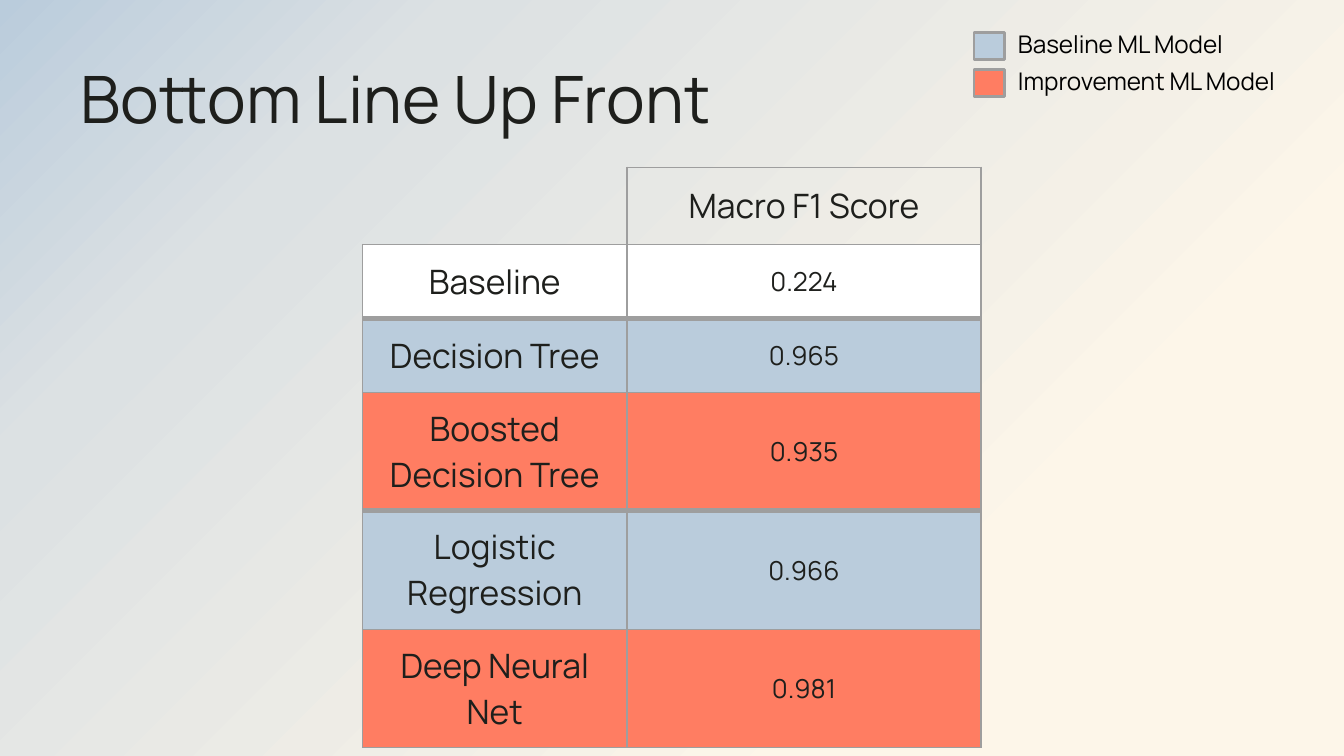
"""Build the Bottom Line Up Front slide with its model score table."""
import lxml.etree
import pptx
import pptx.dml.color
import pptx.enum.shapes
import pptx.enum.text
import pptx.oxml.ns
import pptx.util

Cm = pptx.util.Cm
Pt = pptx.util.Pt
ALIGN = pptx.enum.text.PP_ALIGN
qn = pptx.oxml.ns.qn

INK, GREY, WHITE, BLUE, CORAL = "1E1F1C", "9E9E9E", "FFFFFF", "BACCDC", "FF7D62"
THIN, THICK = 0.75, 3


def color(hex_code):
    return pptx.dml.color.RGBColor.from_string(hex_code)


class Deck:
    font = "Manrope"

    def __init__(self, width, height):
        self.presentation = pptx.Presentation()
        self.presentation.slide_width = Cm(width)
        self.presentation.slide_height = Cm(height)
        self.slide = self.presentation.slides.add_slide(self.presentation.slide_layouts[5])

    def background(self, stops, angle):
        fill = self.slide.background.fill
        fill.gradient()
        fill.gradient_angle = 360 - angle
        stop_list = next(self.slide.element.iter(qn("a:gsLst")))
        for old_stop in list(stop_list):
            stop_list.remove(old_stop)
        for percent, hex_code in stops:
            stop = lxml.etree.SubElement(stop_list, qn("a:gs"), pos=str(percent * 1000))
            lxml.etree.SubElement(stop, qn("a:srgbClr"), val=hex_code)

    def add_words(self, frame, words, size, ink=INK, align=ALIGN.LEFT):
        paragraph = frame.paragraphs[0]
        paragraph.alignment = align
        run = paragraph.add_run()
        run.text = words
        run.font.name = self.font
        run.font.size = Pt(size)
        run.font.color.rgb = color(ink)

    def title(self, words, left, top, width, height):
        heading = self.slide.shapes.title
        heading.left, heading.top = Cm(left), Cm(top)
        heading.width, heading.height = Cm(width), Cm(height)
        frame = heading.text_frame
        frame.auto_size = pptx.enum.text.MSO_AUTO_SIZE.NONE
        frame.vertical_anchor = pptx.enum.text.MSO_ANCHOR.MIDDLE
        self.add_words(frame, words, 35)

    def border(self, cell, side, weight):
        properties = cell._tc.get_or_add_tcPr()
        line = lxml.etree.SubElement(properties, qn(f"a:ln{side}"), w=str(Pt(weight)))
        if weight:
            fill = lxml.etree.SubElement(line, qn("a:solidFill"))
            lxml.etree.SubElement(fill, qn("a:srgbClr"), val=GREY)
        else:
            lxml.etree.SubElement(line, qn("a:noFill"))

    def cell(self, cell, words, size, padding, fill, borders):
        for side, weight in zip("LRTB", borders):
            self.border(cell, side, weight)
        if fill:
            cell.fill.solid()
            cell.fill.fore_color.rgb = color(fill)
        else:
            cell.fill.background()
        if words:
            cell.vertical_anchor = pptx.enum.text.MSO_ANCHOR.MIDDLE
            cell.margin_left = cell.margin_right = Cm(0.25)
            cell.margin_top = cell.margin_bottom = Cm(padding)
            self.add_words(cell.text_frame, words, size, align=ALIGN.CENTER)

    def score_table(self, header, scores, left, top, widths, heights):
        table = self.slide.shapes.add_table(
            len(heights), len(widths), Cm(left), Cm(top), Cm(sum(widths)), Cm(sum(heights))
        ).table
        table.first_row = table.horz_banding = False
        for column, width in zip(table.columns, widths):
            column.width = Cm(width)
        for row, height in zip(table.rows, heights):
            row.height = Cm(height)
        self.cell(table.cell(0, 0), "", 18, 0.25, None, (0, THIN, 0, THIN))
        self.cell(table.cell(0, 1), header, 18, 0.25, None, (THIN,) * 4)
        above = THIN
        for index, (model, score, fill, below) in enumerate(scores, 1):
            borders = (THIN, THIN, above, below)
            self.cell(table.cell(index, 0), model, 18, 0.25, fill, borders)
            self.cell(table.cell(index, 1), score, 14, 0.18, fill, borders)
            above = below

    def swatch(self, group, fill, left, top, width, height):
        swatch = group.shapes.add_shape(
            pptx.enum.shapes.MSO_SHAPE.RECTANGLE, Cm(left), Cm(top), Cm(width), Cm(height)
        )
        swatch.shadow.inherit = False
        swatch.fill.solid()
        swatch.fill.fore_color.rgb = color(fill)
        swatch.line.color.rgb = color(GREY)
        swatch.line.width = Pt(1.5)

    def label(self, group, words, left, top, width, height):
        frame = group.shapes.add_textbox(Cm(left), Cm(top), Cm(width), Cm(height)).text_frame
        frame.word_wrap = True
        frame.auto_size = pptx.enum.text.MSO_AUTO_SIZE.SHAPE_TO_FIT_TEXT
        frame.margin_left = frame.margin_right = Cm(0.25)
        frame.margin_top = frame.margin_bottom = Cm(0.25)
        self.add_words(frame, words, 13, "000000")

    def legend(self, entries, left, top, pitch):
        group = self.slide.shapes.add_group_shape()
        for index, (_, fill, _) in enumerate(entries):
            self.swatch(group, fill, left, top + index * pitch, 0.58, 0.51)
        for index, (words, _, width) in enumerate(entries):
            self.label(group, words, left + 0.58, top - 0.31 + index * pitch, width, 1.07)


def main():
    deck = Deck(25.4, 14.29)
    deck.background([(0, BLUE), (22, "DCE1E3"), (75, "FDF6E9"), (100, "FDF6E9")], 45)
    deck.title("Bottom Line Up Front", 1.27, 0.64, 21.56, 2.39)
    scores = [
        ("Baseline", "0.224", WHITE, THICK),
        ("Decision Tree", "0.965", BLUE, THIN),
        ("Boosted Decision Tree", "0.935", CORAL, THICK),
        ("Logistic Regression", "0.966", BLUE, THIN),
        ("Deep Neural Net", "0.981", CORAL, THIN),
    ]
    deck.score_table(
        "Macro F1 Score", scores, 6.85, 3.16, (5, 6.69), (1.46, 1.4, 1.4, 1.9, 1.9, 1.9)
    )
    entries = [("Baseline ML Model", BLUE, 5.77), ("Improvement ML Model", CORAL, 6.12)]
    deck.legend(entries, 18.41, 0.61, 0.71)
    deck.presentation.save("out.pptx")


if __name__ == "__main__":
    main()
